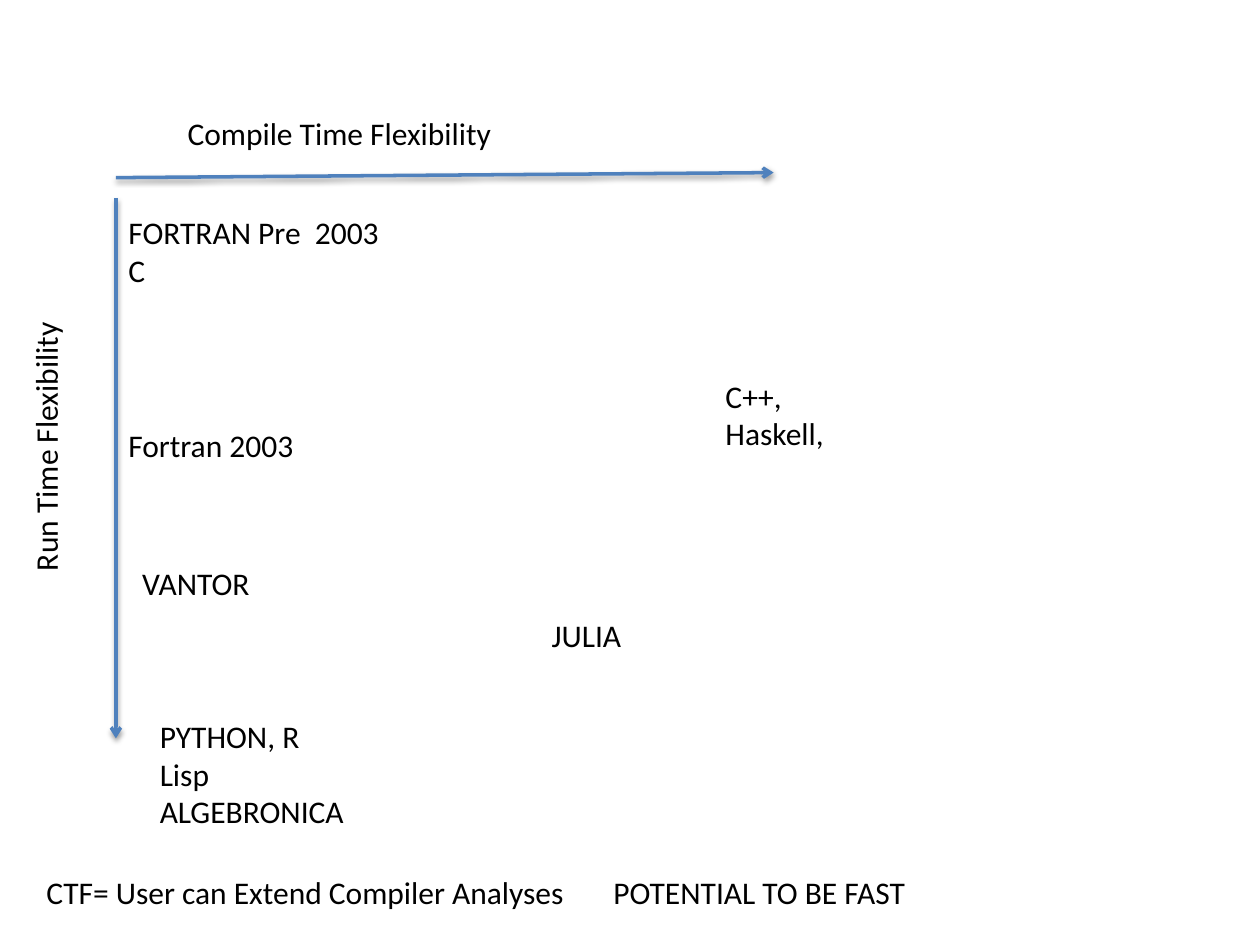
from lxml import etree
from pptx import Presentation
from pptx.dml.color import RGBColor
from pptx.enum.shapes import MSO_CONNECTOR
from pptx.enum.text import MSO_AUTO_SIZE
from pptx.oxml.ns import qn
from pptx.util import Inches, Pt

COLORS = {"text": "000000", "axis": "4F81BD", "shadow": "000000"}
FONT = "Calibri"
LINE_HEIGHT = 0.3
MARGIN_HEIGHT = 0.1

# left, top, width, lines
LANGUAGES = [
    (0.92, 1.64, 2.22, ["FORTRAN Pre  2003", "C"]),
    (0.92, 3.33, 1.53, ["Fortran 2003"]),
    (1.03, 4.43, 1.09, ["VANTOR"]),
    (1.17, 5.64, 1.8, ["PYTHON, R", "Lisp", "ALGEBRONICA"]),
    (4.28, 4.84, 0.76, ["JULIA"]),
    (5.66, 2.94, 1, ["C++,", "Haskell,"]),
]


def add_label(slide, left, top, width, lines, rotation=0, tab_stop=None):
    """Add a text box with one paragraph per line and an optional tab stop."""
    height = MARGIN_HEIGHT + LINE_HEIGHT * len(lines)
    box = slide.shapes.add_textbox(
        Inches(left), Inches(top), Inches(width), Inches(height))
    box.rotation = rotation
    frame = box.text_frame
    frame.word_wrap = True
    frame.auto_size = MSO_AUTO_SIZE.SHAPE_TO_FIT_TEXT
    frame.word_wrap = tab_stop is not None
    frame.text = "\n".join(lines)
    for paragraph in frame.paragraphs:
        font = paragraph.runs[0].font
        font.name, font.size = FONT, Pt(18)
        font.color.rgb = RGBColor.from_string(COLORS["text"])
        if tab_stop is not None:
            tabs = etree.SubElement(
                paragraph._p.get_or_add_pPr(), qn("a:tabLst"))
            etree.SubElement(tabs, qn("a:tab"),
                             pos=str(Inches(tab_stop)), algn="l")


def add_axis(slide, start, end):
    """Add an axis arrow with a soft shadow below it."""
    axis = slide.shapes.add_connector(
        MSO_CONNECTOR.STRAIGHT, *(Inches(value) for value in start + end))
    axis.line.color.rgb = RGBColor.from_string(COLORS["axis"])
    axis.line.width = Pt(2)
    properties = axis._element.spPr
    etree.SubElement(properties.find(qn("a:ln")), qn("a:tailEnd"), type="arrow")
    effects = etree.SubElement(properties, qn("a:effectLst"))
    shadow = etree.SubElement(
        effects, qn("a:outerShdw"), blurRad=str(Pt(3.1)), dist=str(Pt(1.6)),
        dir="5400000", rotWithShape="0")
    color = etree.SubElement(shadow, qn("a:srgbClr"), val=COLORS["shadow"])
    etree.SubElement(color, qn("a:alpha"), val="38000")


def main():
    """Build the language flexibility slide."""
    deck = Presentation()
    deck.slide_width, deck.slide_height = Inches(10), Inches(7.5)
    slide = deck.slides.add_slide(deck.slide_layouts[6])

    add_axis(slide, (0.92, 1.41), (6.14, 1.37))
    add_axis(slide, (0.92, 1.57), (0.92, 5.86))
    add_label(slide, 1.39, 0.86, 2.64, ["Compile Time Flexibility"])
    add_label(slide, -0.74, 3.33, 2.2, ["Run Time Flexibility"], rotation=270)
    for left, top, width, lines in LANGUAGES:
        add_label(slide, left, top, width, lines)
    add_label(slide, 0.27, 6.88, 7.13,
              ["CTF= User can Extend Compiler Analyses\tPOTENTIAL TO BE FAST"],
              tab_stop=4.5)

    deck.save("out.pptx")


main()
